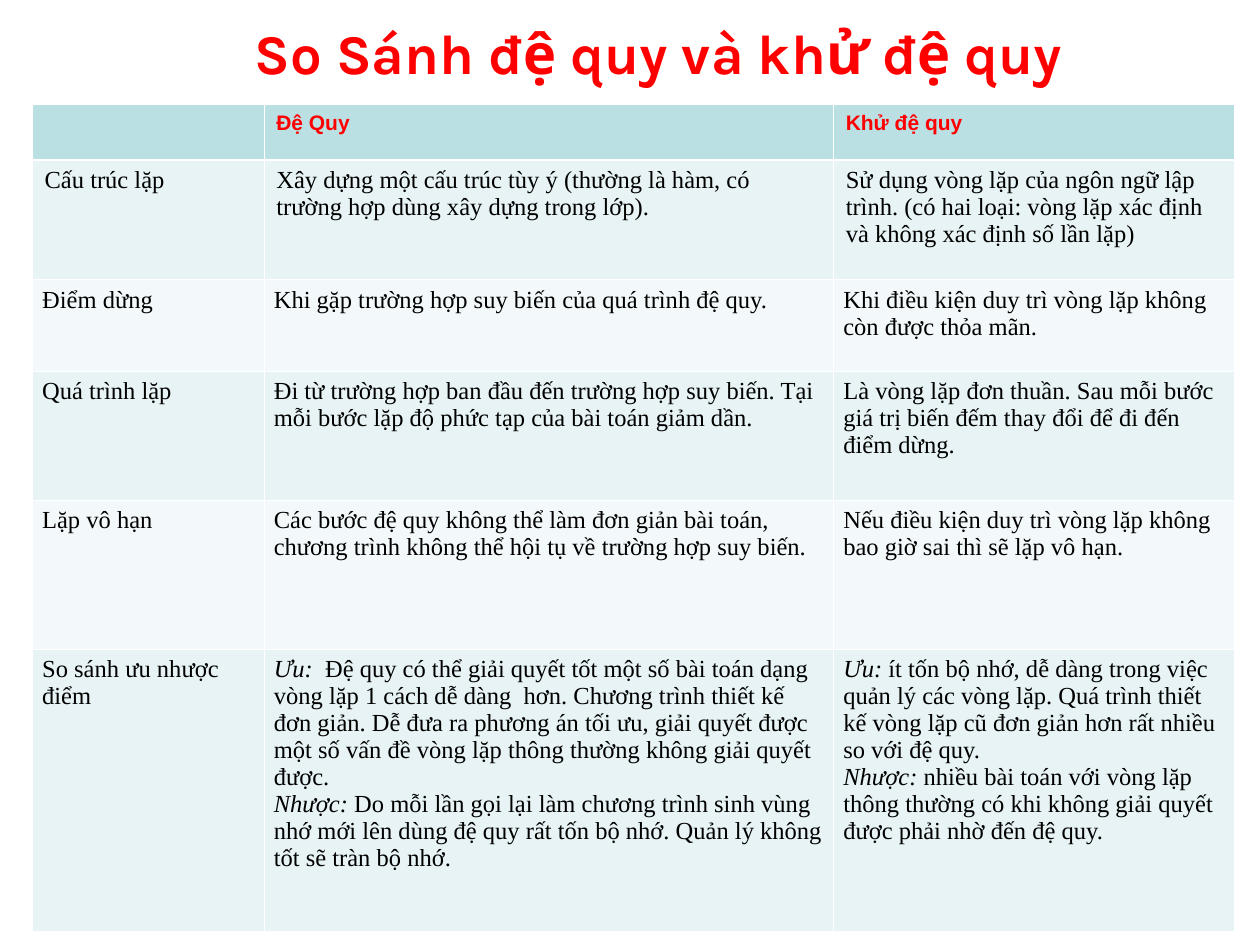
from dataclasses import dataclass

from lxml.etree import SubElement
from pptx import Presentation
from pptx.dml.color import RGBColor
from pptx.enum.text import MSO_ANCHOR, MSO_AUTO_SIZE, PP_ALIGN
from pptx.oxml.ns import qn
from pptx.util import Cm, Pt

COLORS = {
    "red": "FF0000",
    "black": "000000",
    "white": "FFFFFF",
    "head": "BBE0E3",
    "odd": "E7F3F4",
    "even": "F3F9FA",
}
COLS = (4.67, 11.48, 8.08)
THIN, THICK = 0.45, 1.47


@dataclass
class Look:
    font: str
    size: int
    color: str
    bold: bool = False


@dataclass
class Part:
    lead: str  # italic opening words
    rest: str


@dataclass
class Row:
    height: float
    cells: tuple  # each cell is a string or a list of parts


TITLE = Look("Karla", 32, "red", True)
HEAD = Look("Arial", 12, "red", True)
BODY = Look("Times New Roman", 14, "black")

ROWS = [
    Row(1.12, ("", "Đệ Quy", "Khử đệ quy")),
    Row(2.41, (
        "Cấu trúc lặp",
        "Xây dựng một cấu trúc tùy ý (thường là hàm, có trường hợp dùng xây dựng trong lớp).",
        "Sử dụng vòng lặp của ngôn ngữ lập trình. (có hai loại: vòng lặp xác định "
        "và không xác định số lần lặp)",
    )),
    Row(1.85, (
        "Điểm dừng",
        "Khi gặp trường hợp suy biến của quá trình đệ quy.",
        "Khi điều kiện duy trì vòng lặp không còn được thỏa mãn.",
    )),
    Row(2.59, (
        "Quá trình lặp",
        "Đi từ trường hợp ban đầu đến trường hợp suy biến. Tại mỗi bước lặp "
        "độ phức tạp của bài toán giảm dần.",
        "Là vòng lặp đơn thuần. Sau mỗi bước giá trị biến đếm thay đổi để đi đến điểm dừng.",
    )),
    Row(3, (
        "Lặp vô hạn",
        "Các bước đệ quy không thể làm đơn giản bài toán, chương trình không thể "
        "hội tụ về trường hợp suy biến.",
        "Nếu điều kiện duy trì vòng lặp không bao giờ sai thì sẽ lặp vô hạn.",
    )),
    Row(5.69, (
        "So sánh ưu nhược điểm",
        [
            Part("Ưu:", "  Đệ quy có thể giải quyết tốt một số bài toán dạng vòng lặp 1 cách "
                 "dễ dàng  hơn. Chương trình thiết kế đơn giản. Dễ đưa ra phương án tối ưu, "
                 "giải quyết được một số vấn đề vòng lặp thông thường không giải quyết được."),
            Part("Nhược:", " Do mỗi lần gọi lại làm chương trình sinh vùng nhớ mới lên dùng "
                 "đệ quy rất tốn bộ nhớ. Quản lý không tốt sẽ tràn bộ nhớ."),
        ],
        [
            Part("Ưu:", " ít tốn bộ nhớ, dễ dàng trong việc quản lý các vòng lặp. Quá trình "
                 "thiết kế vòng lặp cũ đơn giản hơn rất nhiều so với đệ quy."),
            Part("Nhược:", " nhiều bài toán với vòng lặp thông thường có khi không giải quyết "
                 "được phải nhờ đến đệ quy."),
        ],
    )),
]


def style(frame, look: Look) -> None:
    for para in frame.paragraphs:
        para.alignment = PP_ALIGN.LEFT
        for run in para.runs:
            font = run.font
            font.name, font.size, font.bold = look.font, Pt(look.size), look.bold
            font.color.rgb = RGBColor.from_string(COLORS[look.color])


def write(frame, text: str | list[Part], look: Look) -> None:
    if isinstance(text, str):
        frame.text = text
    else:
        frame.text = "\n".join(part.lead for part in text)
        for para, part in zip(frame.paragraphs, text):
            para.runs[0].font.italic = True
            para.add_run().text = part.rest
    style(frame, look)


def border(cell, top: float, bottom: float) -> None:
    props = cell._tc.get_or_add_tcPr()
    sides = {"a:lnL": THIN, "a:lnR": THIN, "a:lnT": top, "a:lnB": bottom}
    for i, (tag, width) in enumerate(sides.items()):
        line = SubElement(props, qn(tag), w=str(int(Pt(width))))
        fill = SubElement(line, qn("a:solidFill"))
        SubElement(fill, qn("a:srgbClr"), val=COLORS["white"])
        props.insert(i, line)


def add_title(slide, text: str) -> None:
    title = slide.shapes.title
    title.left, title.top = Cm(4.88), Cm(0.53)
    title.width, title.height = Cm(19.48), Cm(1.04)
    frame = title.text_frame
    frame.word_wrap = True
    frame.auto_size = MSO_AUTO_SIZE.NONE
    frame.vertical_anchor = MSO_ANCHOR.MIDDLE
    write(frame, text, TITLE)


def add_grid(slide, rows: list[Row]) -> None:
    high = sum(row.height for row in rows)
    grid = slide.shapes.add_table(
        len(rows), len(COLS), Cm(0.65), Cm(2.11), Cm(sum(COLS)), Cm(high)
    ).table
    for col, width in zip(grid.columns, COLS):
        col.width = Cm(width)
    for r, row in enumerate(rows):
        grid.rows[r].height = Cm(row.height)
        tone = "head" if r == 0 else "odd" if r % 2 else "even"
        for c, text in enumerate(row.cells):
            cell = grid.cell(r, c)
            cell.margin_left = cell.margin_right = Cm(0.25 if r < 2 else 0.2)
            cell.margin_top = cell.margin_bottom = Cm(0.13)
            cell.fill.solid()
            cell.fill.fore_color.rgb = RGBColor.from_string(COLORS[tone])
            # Thick rule under the head row
            border(cell, THICK if r == 1 else THIN, THICK if r == 0 else THIN)
            write(cell.text_frame, text, BODY if r else HEAD)


def main() -> None:
    deck = Presentation()
    deck.slide_width, deck.slide_height = Cm(25.4), Cm(19.05)
    slide = deck.slides.add_slide(deck.slide_layouts[5])
    add_title(slide, "So Sánh đệ quy và khử đệ quy")
    add_grid(slide, ROWS)
    deck.save("out.pptx")


if __name__ == "__main__":
    main()
